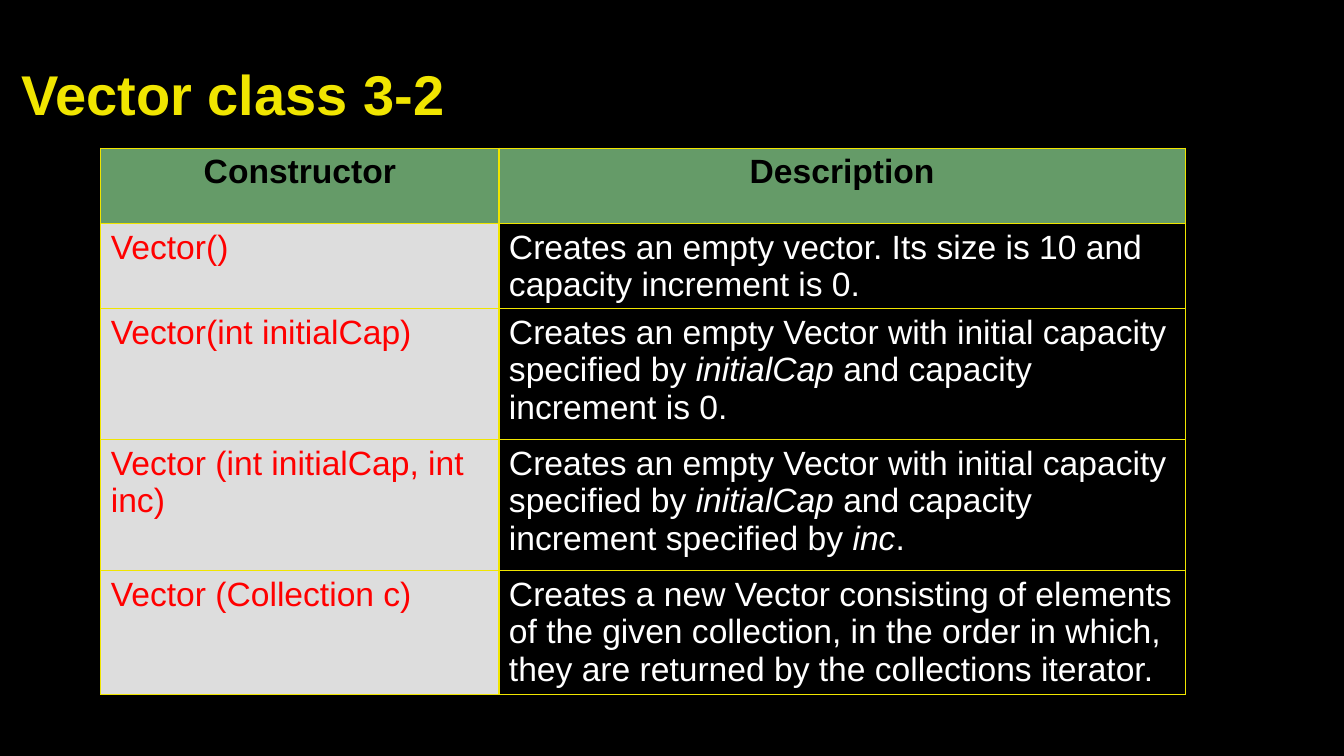
"""Build the Vector class slide with its table of constructors."""
from lxml import etree
from pptx import Presentation
from pptx.dml.color import RGBColor
from pptx.enum import text
from pptx.oxml import ns
from pptx.util import Pt

COLORS = {
    "background": "000000",
    "accent": "F0E500",
    "header": "659B68",
    "header_text": "000000",
    "constructor": "DDDDDD",
    "constructor_text": "FF0000",
    "description_text": "FFFFFF",
}
FONT = "Arial"
HEADINGS = ("Constructor", "Description")
CONSTRUCTORS = (
    ("Vector()",
     "Creates an empty vector. Its size is 10 and capacity increment is 0."),
    ("Vector(int initialCap)",
     "Creates an empty Vector with initial capacity specified by *initialCap* "
     "and capacity increment is 0."),
    ("Vector (int initialCap, int inc)",
     "Creates an empty Vector with initial capacity specified by *initialCap* "
     "and capacity increment specified by *inc*."),
    ("Vector (Collection c)",
     "Creates a new Vector consisting of elements of the given collection, "
     "in the order in which, they are returned by the collections iterator."),
)
COLUMN_WIDTHS = (284.4, 490.3)
ROW_HEIGHTS = (54, 54, 93.6, 93.6, 88.6)


def color(name):
    return RGBColor.from_string(COLORS[name])


def style_paragraph(paragraph, size, color_name, bold, alignment):
    paragraph.alignment = alignment
    paragraph.font.name = FONT
    paragraph.font.size = Pt(size)
    paragraph.font.bold = bold
    paragraph.font.color.rgb = color(color_name)


def add_title(slide, wording):
    title = slide.shapes.title
    title.left, title.top, title.width, title.height = Pt(8), Pt(21.6), Pt(864), Pt(90)
    title.text_frame.vertical_anchor = text.MSO_ANCHOR.MIDDLE
    title.text_frame.text = wording
    style_paragraph(title.text_frame.paragraphs[0], 40, "accent", True, text.PP_ALIGN.LEFT)


def add_borders(cell):
    properties = cell._tc.get_or_add_tcPr()
    for position, side in enumerate(("lnL", "lnR", "lnT", "lnB")):
        border = etree.Element(ns.qn(f"a:{side}"), w=str(Pt(1)))
        fill = etree.SubElement(border, ns.qn("a:solidFill"))
        etree.SubElement(fill, ns.qn("a:srgbClr"), val=COLORS["accent"])
        properties.insert(position, border)


def fill_cell(cell, wording, color_name, fill_name=None, heading=False):
    """Write a cell, setting the parts between asterisks in italics."""
    paragraph = cell.text_frame.paragraphs[0]
    for index, part in enumerate(wording.split("*")):
        run = paragraph.add_run()
        run.text = part
        if index % 2:
            run.font.italic = True
    alignment = text.PP_ALIGN.CENTER if heading else text.PP_ALIGN.LEFT
    style_paragraph(paragraph, 24, color_name, heading, alignment)
    if fill_name:
        cell.fill.solid()
        cell.fill.fore_color.rgb = color(fill_name)
    else:
        cell.fill.background()
    add_borders(cell)


def add_constructor_table(slide):
    constructors = slide.shapes.add_table(
        len(ROW_HEIGHTS), len(COLUMN_WIDTHS), Pt(72), Pt(105.8),
        Pt(sum(COLUMN_WIDTHS)), Pt(sum(ROW_HEIGHTS))).table
    constructors.first_row = False
    constructors.horz_banding = False
    for column, width in zip(constructors.columns, COLUMN_WIDTHS):
        column.width = Pt(width)
    for row, height in zip(constructors.rows, ROW_HEIGHTS):
        row.height = Pt(height)
    for index, heading in enumerate(HEADINGS):
        fill_cell(constructors.cell(0, index), heading, "header_text", "header", True)
    for index, (signature, description) in enumerate(CONSTRUCTORS, start=1):
        fill_cell(constructors.cell(index, 0), signature, "constructor_text", "constructor")
        fill_cell(constructors.cell(index, 1), description, "description_text")


def main():
    deck = Presentation()
    deck.slide_width, deck.slide_height = Pt(960), Pt(540)
    slide = deck.slides.add_slide(deck.slide_layouts[5])
    slide.background.fill.solid()
    slide.background.fill.fore_color.rgb = color("background")
    add_title(slide, "Vector class 3-2")
    add_constructor_table(slide)
    deck.save("out.pptx")


if __name__ == "__main__":
    main()
